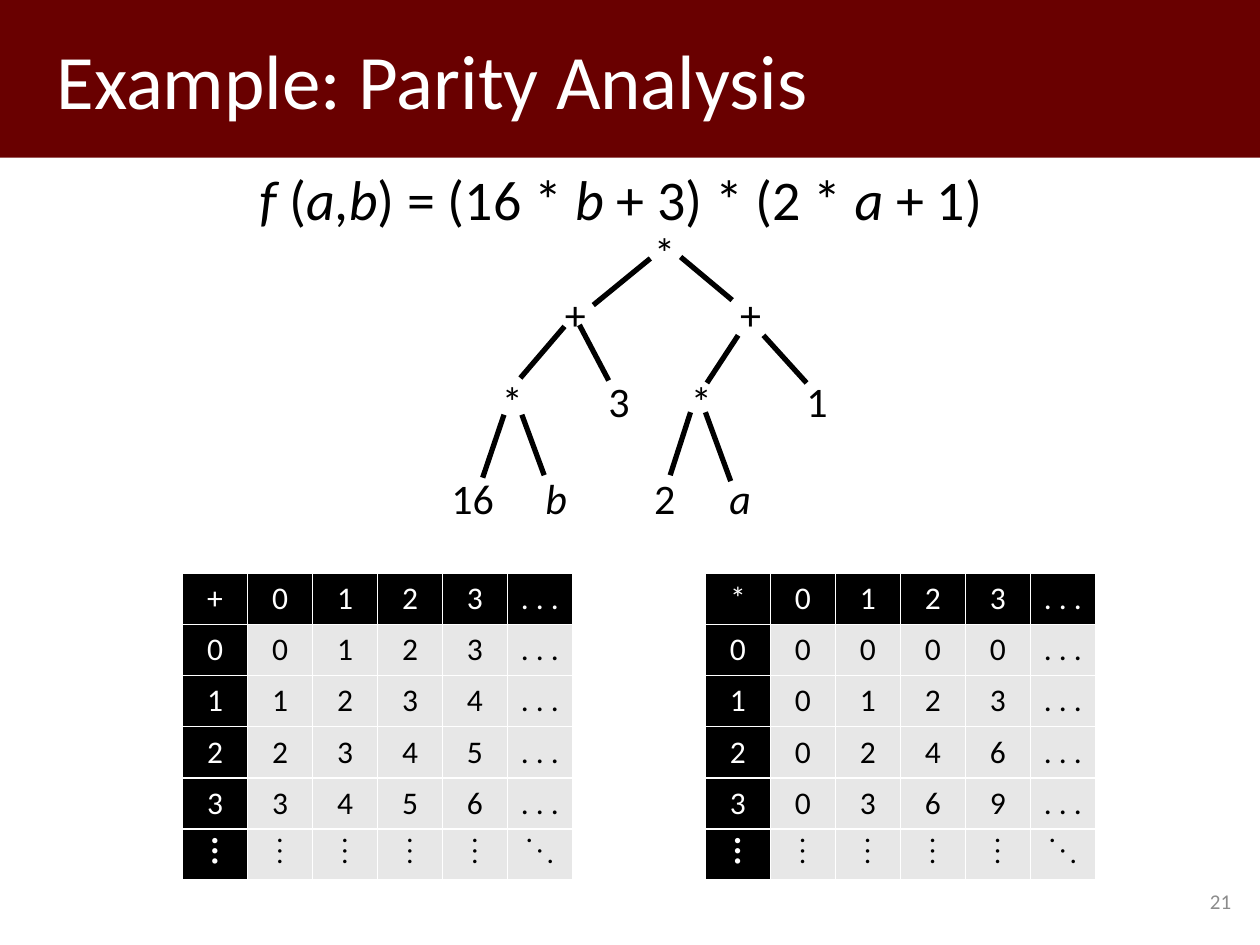
from dataclasses import dataclass

from lxml.etree import SubElement
from pptx import Presentation
from pptx.dml.color import RGBColor
from pptx.enum.shapes import MSO_CONNECTOR, MSO_SHAPE
from pptx.enum.text import MSO_ANCHOR, PP_ALIGN
from pptx.oxml.ns import qn
from pptx.util import Cm, Pt


@dataclass(frozen=True)
class Theme:
    maroon: RGBColor = RGBColor(0x69, 0x00, 0x00)
    black: RGBColor = RGBColor(0x00, 0x00, 0x00)
    white: RGBColor = RGBColor(0xFF, 0xFF, 0xFF)
    cell: RGBColor = RGBColor(0xE7, 0xE7, 0xE7)
    gray: RGBColor = RGBColor(0x8C, 0x8C, 0x8C)
    font: str = "Calibri"
    dots_font: str = "Times New Roman"
    title: int = 44
    formula: int = 32
    node: int = 24
    table: int = 18
    number: int = 12


T = Theme()


def style(p, size, color, align=PP_ALIGN.LEFT, font=T.font):
    p.alignment = align
    p.font.name, p.font.size = font, Pt(size)
    p.font.color.rgb = color


def add_text(s, box, text, size, color, align):
    sp = s.shapes.add_textbox(*(Cm(v) for v in box))
    p = sp.text_frame.paragraphs[0]
    p.text = text
    style(p, size, color, align)
    return sp.text_frame


prs = Presentation()
prs.slide_width, prs.slide_height = Cm(25.4), Cm(19.05)
s = prs.slides.add_slide(prs.slide_layouts[6])

# Title band
sp = s.shapes.add_shape(MSO_SHAPE.RECTANGLE, 0, 0, prs.slide_width, Cm(3.18))
sp.shadow.inherit = False
sp.fill.solid()
sp.fill.fore_color.rgb = T.maroon
sp.line.fill.background()
tf = sp.text_frame
tf.margin_left = Cm(1.14)
tf.vertical_anchor = MSO_ANCHOR.MIDDLE
tf.paragraphs[0].text = "Example: Parity Analysis"
style(tf.paragraphs[0], T.title, T.white)

# Formula, with the names in italics
tf = add_text(s, (4.98, 3.2, 15.7, 1.6), "", T.formula, T.black, PP_ALIGN.LEFT)
tf.word_wrap = True
for part in ("f ", "(", "a", ",", "b", ") = (16 * ", "b", " + 3) * (2 * ", "a", " + 1)"):
    r = tf.paragraphs[0].add_run()
    r.text = part
    r.font.italic = part.strip() in ("f", "a", "b")

# Expression tree nodes: top of each level, then centre and label
levels = [
    (4.45, [(13.4, "*")]),
    (5.69, [(11.6, "+"), (15.13, "+")]),
    (7.44, [(10.33, "*"), (12.48, "3"), (14.14, "*"), (16.47, "1")]),
    (9.4, [(9.53, "16"), (11.21, "b"), (13.4, "2"), (14.92, "a")]),
]
node_w = 1.4
for top, nodes in levels:
    for center, label in nodes:
        box = (center - node_w / 2, top, node_w, 1.28)
        tf = add_text(s, box, label, T.node, T.black, PP_ALIGN.CENTER)
        tf.word_wrap = False
        tf.paragraphs[0].font.italic = label.isalpha()

# Expression tree edges, parent to child
edges = [
    (13.11, 5.21, 11.96, 6.15), (13.72, 5.18, 14.76, 6.05),
    (11.38, 6.58, 10.49, 7.62), (11.68, 6.55, 12.27, 7.67),
    (14.88, 6.76, 14.25, 7.72), (15.39, 6.76, 16.26, 7.72),
    (10.16, 8.36, 9.73, 9.63), (10.52, 8.36, 10.97, 9.58),
    (13.92, 8.31, 13.51, 9.58), (14.22, 8.31, 14.73, 9.7),
]
for edge in edges:
    line = s.shapes.add_connector(MSO_CONNECTOR.STRAIGHT, *(Cm(v) for v in edge))
    line.line.color.rgb = T.black
    line.line.width = Pt(3)
    SubElement(line._element.spPr, qn("a:effectLst"))

# Slide number
tf = add_text(s, (19.15, 17.65, 5.92, 1.02), "21", T.number, T.gray, PP_ALIGN.RIGHT)
tf.word_wrap = True
tf.vertical_anchor = MSO_ANCHOR.MIDDLE

# Operation tables
n, col_w, row_h = 6, 1.31, 1.03
operations = [
    (3.68, "+", lambda a, b: a + b),
    (14.22, "*", lambda a, b: a * b),
]
for left, symbol, operation in operations:
    rows = [[symbol, *range(4), ". . ."]]
    rows += [[a, *(operation(a, b) for b in range(4)), ". . ."] for a in range(4)]
    rows.append(["⋮"] * 5 + ["⋱"])
    frame = s.shapes.add_table(n, n, Cm(left), Cm(11.56), Cm(n * col_w), Cm(n * row_h))
    table = frame.table
    table.first_col = True
    for i, row in enumerate(rows):
        for j, value in enumerate(row):
            cell = table.cell(i, j)
            header = i == 0 or j == 0
            cell.fill.solid()
            cell.fill.fore_color.rgb = T.black if header else T.cell
            p = cell.text_frame.paragraphs[0]
            p.text = str(value)
            style(p, T.table, T.white if header else T.black, PP_ALIGN.CENTER,
                  T.dots_font if i == n - 1 else T.font)
            p.font.bold = i == n - 1 and j == 0

prs.save("out.pptx")
